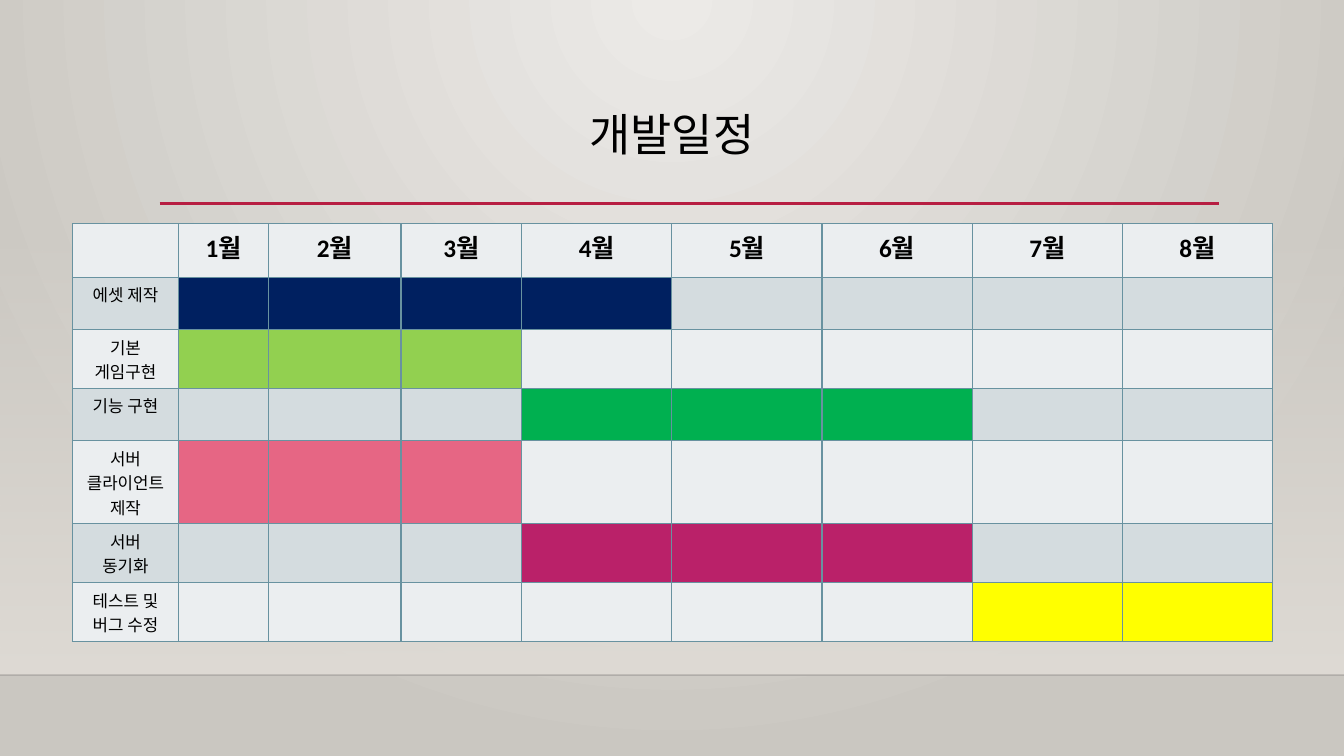
from dataclasses import dataclass

from lxml import etree
from pptx import Presentation
from pptx.dml.color import RGBColor
from pptx.enum.shapes import MSO_CONNECTOR, MSO_SHAPE
from pptx.enum.text import MSO_ANCHOR, PP_ALIGN
from pptx.oxml.ns import qn
from pptx.util import Emu, Pt

PX = 9525
WIDE, HIGH = 1280, 720
FONT = "Calibri"
STRAIGHT = MSO_CONNECTOR.STRAIGHT
RECT = MSO_SHAPE.RECTANGLE
TOP = MSO_ANCHOR.TOP
CENTER = PP_ALIGN.CENTER

BLACK = RGBColor(0x00, 0x00, 0x00)
EDGE = RGBColor(0x00, 0x00, 0x01)
LIGHT = RGBColor(0xEC, 0xEA, 0xE7)
SHADE = RGBColor(0xCA, 0xC7, 0xC1)
SAND = RGBColor(0xDF, 0xDB, 0xD5)
RED = RGBColor(0xB7, 0x1E, 0x42)
GRID = RGBColor(0x68, 0x92, 0xA0)
PALE = RGBColor(0xEB, 0xEE, 0xF0)
GRAY = RGBColor(0xD4, 0xDC, 0xDF)
NAVY = RGBColor(0x00, 0x20, 0x60)
LIME = RGBColor(0x92, 0xD0, 0x50)
GREEN = RGBColor(0x00, 0xB0, 0x50)
PINK = RGBColor(0xE6, 0x66, 0x84)
PLUM = RGBColor(0xBA, 0x21, 0x69)
YELLOW = RGBColor(0xFF, 0xFF, 0x00)


@dataclass
class Task:
    label: str
    first: int
    last: int
    color: RGBColor
    height: int


@dataclass
class Rule:
    left: int
    right: int
    top: int
    color: RGBColor
    width: float
    alpha: int = 100


HEAD, ONE, TWO, THREE = 51, 50, 56, 79
TASKS = [
    Task("에셋 제작", 1, 4, NAVY, ONE),
    Task("기본 게임구현", 1, 3, LIME, TWO),
    Task("기능 구현", 4, 6, GREEN, ONE),
    Task("서버\n클라이언트\n제작", 1, 3, PINK, THREE),
    Task("서버\n동기화", 4, 6, PLUM, TWO),
    Task("테스트 및 버그 수정", 7, 8, YELLOW, TWO),
]
RULES = [
    Rule(0, WIDE, 643, EDGE, 1, 20),
    Rule(152, 1161, 194, RED, 2.5),
]
COLS = [101, 86, 126, 115] + [143] * 5
ROWS = [HEAD] + [task.height for task in TASKS]


def px(size: int) -> Emu:
    return Emu(size * PX)


def blend(fill, start: RGBColor, end: RGBColor) -> None:
    fill.gradient()
    for stop, color, place in zip(fill.gradient_stops, (start, end), (0, 1)):
        stop.color.rgb = color
        stop.position = place


def fade(node, share: int) -> None:
    etree.SubElement(node, qn("a:alpha"), val=str(share * 1000))


def paint_back(slide) -> None:
    blend(slide.background.fill, LIGHT, SHADE)
    grad = slide.element.find(".//" + qn("a:gradFill"))
    ray = etree.Element(qn("a:path"), path="circle")
    etree.SubElement(ray, qn("a:fillToRect"), l="43000", t="0", r="43000", b="100000")
    grad.replace(grad.find(qn("a:lin")), ray)


def add_wall(slide) -> None:
    wall = slide.shapes.add_shape(RECT, 0, px(212), px(WIDE), px(431))
    wall.shadow.inherit = False
    wall.line.fill.background()
    blend(wall.fill, SAND, SAND)
    wall.fill.gradient_angle = 270
    fade(wall.element.find(".//" + qn("a:srgbClr")), 0)


def add_rule(slide, rule: Rule) -> None:
    line = slide.shapes.add_connector(
        STRAIGHT, px(rule.left), px(rule.top), px(rule.right), px(rule.top))
    line.line.color.rgb = rule.color
    line.line.width = Pt(rule.width)
    if rule.alpha < 100:
        fade(line.element.find(".//" + qn("a:srgbClr")), rule.alpha)
    etree.SubElement(line.element.spPr, qn("a:effectLst"))


def write(frame, text: str, size: int, bold: bool = False) -> None:
    frame.text = text
    for para in frame.paragraphs:
        para.alignment = CENTER
        para.font.name = FONT
        para.font.size = Pt(size)
        para.font.bold = bold
        para.font.color.rgb = BLACK


def add_title(slide) -> None:
    frame = slide.shapes.add_textbox(px(136), px(103), px(1008), px(110)).text_frame
    frame.word_wrap = True
    frame.vertical_anchor = TOP
    write(frame, "개발일정", 32)
    frame.paragraphs[0].line_spacing = 0.9


def dress(cell, color: RGBColor) -> None:
    cell.fill.solid()
    cell.fill.fore_color.rgb = color
    props = cell._tc.get_or_add_tcPr()
    for spot, side in enumerate("LRTB"):
        edge = etree.Element(qn(f"a:ln{side}"), w=str(Pt(1)))
        solid = etree.SubElement(edge, qn("a:solidFill"))
        etree.SubElement(solid, qn("a:srgbClr"), val=str(GRID))
        props.insert(spot, edge)


def add_plan(slide) -> None:
    table = slide.shapes.add_table(
        len(ROWS), len(COLS), px(69), px(213), px(sum(COLS)), px(sum(ROWS))).table
    table.first_row = False
    table.horz_banding = False
    for col, width in zip(table.columns, COLS):
        col.width = px(width)
    for row, height in zip(table.rows, ROWS):
        row.height = px(height)
    dress(table.cell(0, 0), PALE)
    for month in range(1, len(COLS)):
        cell = table.cell(0, month)
        dress(cell, PALE)
        write(cell.text_frame, f"{month}월", 18, True)
    for row, task in enumerate(TASKS, 1):
        band = GRAY if row % 2 else PALE
        write(table.cell(row, 0).text_frame, task.label, 12)
        for month in range(len(COLS)):
            busy = task.first <= month <= task.last
            dress(table.cell(row, month), task.color if busy else band)


def main() -> None:
    deck = Presentation()
    deck.slide_width, deck.slide_height = px(WIDE), px(HIGH)
    slide = deck.slides.add_slide(deck.slide_layouts[6])
    paint_back(slide)
    add_wall(slide)
    for rule in RULES:
        add_rule(slide, rule)
    add_title(slide)
    add_plan(slide)
    deck.save("out.pptx")


if __name__ == "__main__":
    main()
